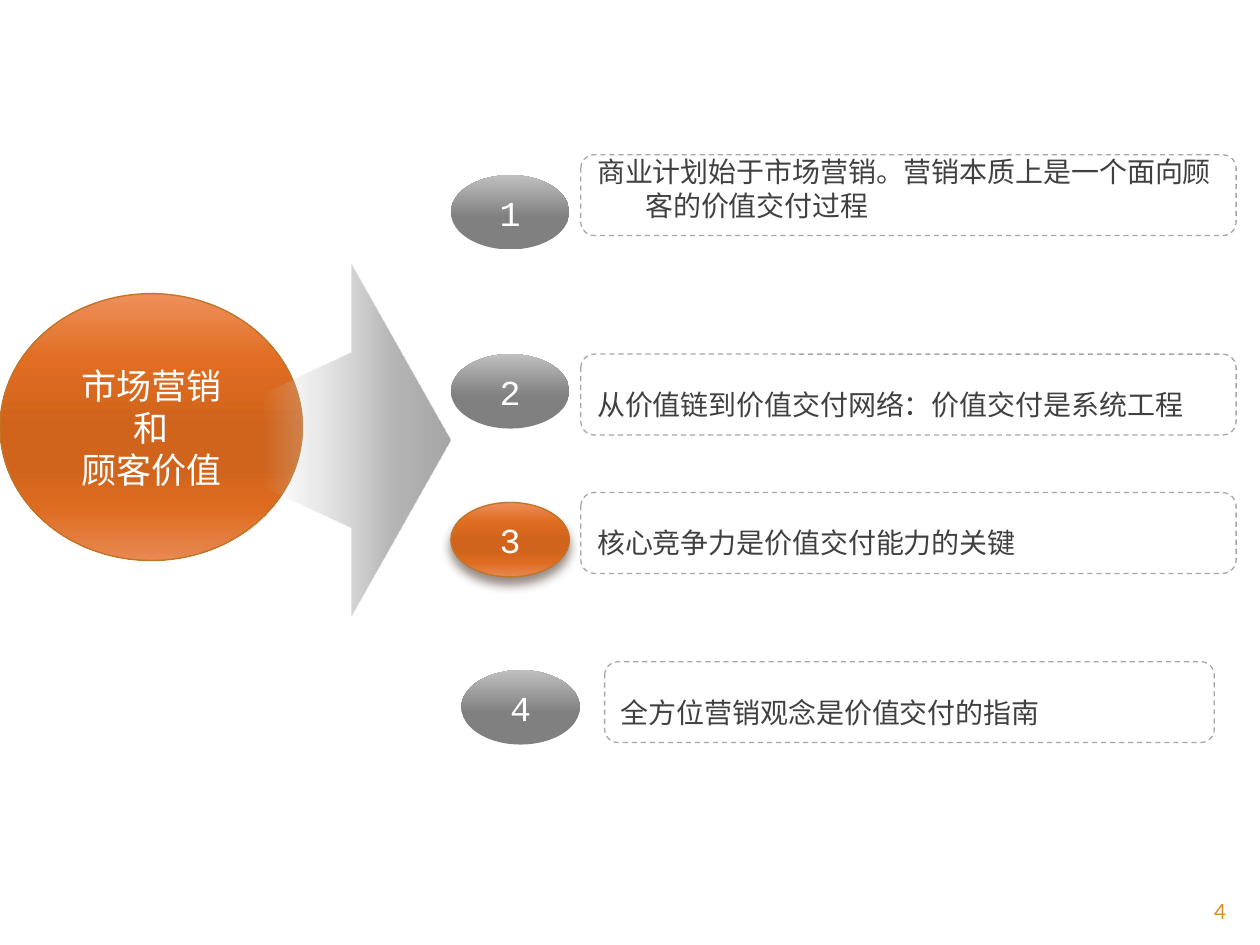
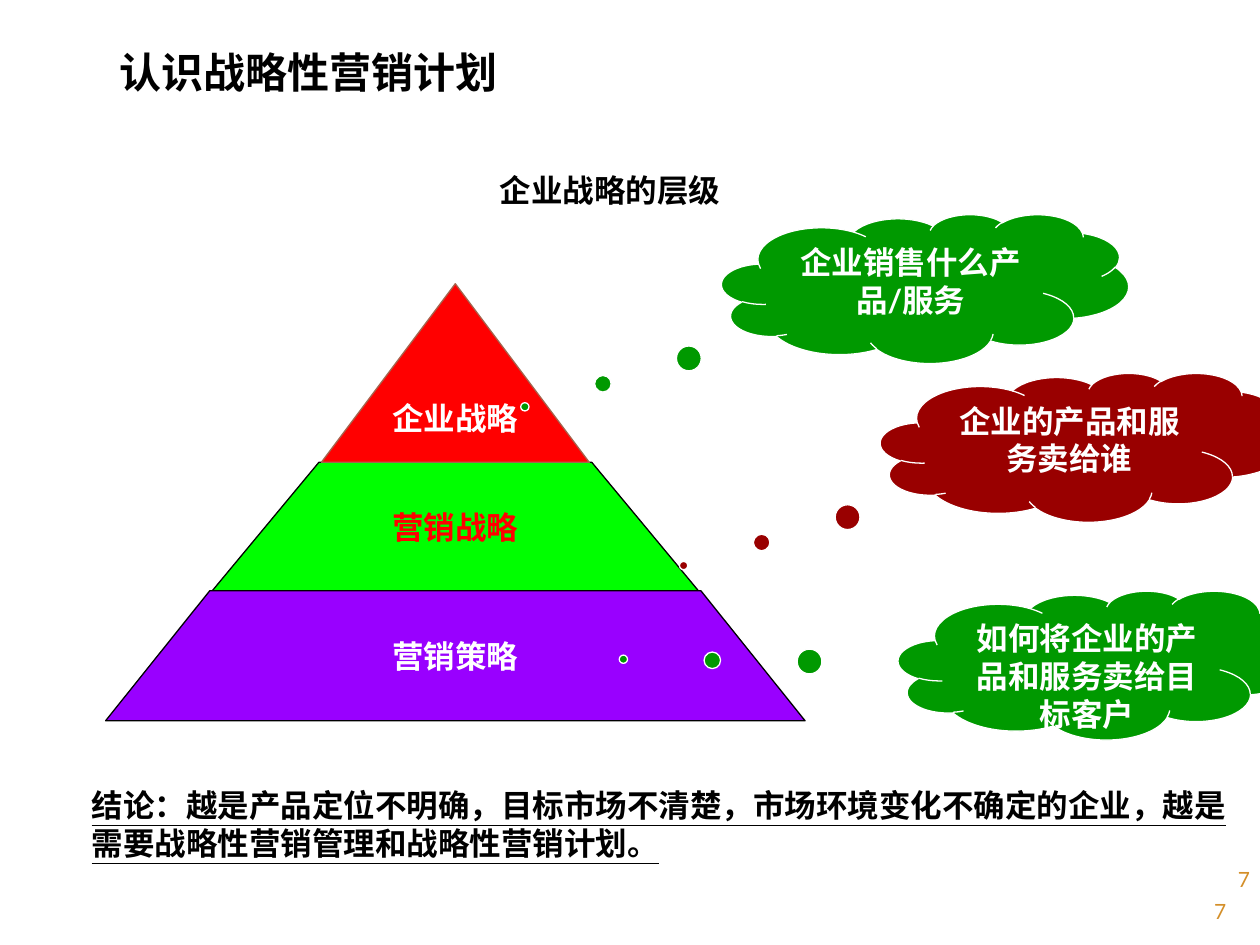
"""Build two slides on marketing, customer value and strategic marketing plans."""
import lxml.etree
import pptx
import pptx.dml.color
import pptx.enum.dml
import pptx.enum.shapes
import pptx.enum.text
import pptx.oxml.ns
import pptx.util

Cm = pptx.util.Cm
Pt = pptx.util.Pt
RGBColor = pptx.dml.color.RGBColor
Shape = pptx.enum.shapes.MSO_SHAPE
Align = pptx.enum.text.PP_ALIGN
Anchor = pptx.enum.text.MSO_ANCHOR
qn = pptx.oxml.ns.qn

WHITE = RGBColor(0xFF, 0xFF, 0xFF)
BLACK = RGBColor(0, 0, 0)
RED = RGBColor(0xFF, 0, 0)
LIME = RGBColor(0, 0xFF, 0)
PURPLE = RGBColor(0x99, 0, 0xFF)
GREEN = RGBColor(0, 0x99, 0)
MAROON = RGBColor(0x99, 0, 0)
BROWN = RGBColor(0xA5, 0x64, 0x4E)
GOLD = RGBColor(0xD4, 0x8F, 0x29)
RUST = RGBColor(0xC1, 0x75, 0x29)
SHADE = RGBColor(0x4E, 0x3B, 0x30)
INK = RGBColor(0x40, 0x40, 0x40)
GRAY = RGBColor(0x80, 0x80, 0x80)
SILVER = RGBColor(0xA6, 0xA6, 0xA6)
ASH = RGBColor(0xAE, 0xAE, 0xAE)
MIST = RGBColor(0xBF, 0xBF, 0xBF)
PALE = RGBColor(0xD9, 0xD9, 0xD9)

HAN, HAN_TITLE = "Noto Sans CJK SC", "Noto Sans CJK JP"
LATIN, DIGITS = "Lato", "Courier New"

GRAY_STOPS = [(0, GRAY, 100), (43, GRAY, 100), (100, MIST, 100)]
ORANGE_STOPS = [
    (0, RGBColor(0xEE, 0x8F, 0x5B), 100),
    (25, RGBColor(0xE0, 0x6D, 0x21), 100),
    (50, RGBColor(0xD0, 0x64, 0x1C), 100),
    (65, RGBColor(0xD0, 0x64, 0x1C), 100),
    (80, RGBColor(0xDE, 0x6C, 0x20), 100),
    (100, RGBColor(0xE8, 0x88, 0x52), 100),
]
ARROW_STOPS = [(0, SILVER, 100), (33, ASH, 88), (100, PALE, 0)]

THEME = ["市场营销", "和", "顾客价值"]
ARROW_AXIS, ARROW_TIP = 8.87, 9.09
ARROW_PROFILE = [(5.31, 0.94), (7.09, 1.77), (7.09, 3.54)]
POINTS = [
    {"text": "商业计划始于市场营销。营销本质上是一个面向顾客的价值交付过程",
     "badge": (9.09, 3.53), "box": (11.71, 3.12, 13.21)},
    {"text": "从价值链到价值交付网络：价值交付是系统工程",
     "badge": (9.09, 7.14), "box": (11.71, 7.14, 13.21)},
    {"text": "核心竞争力是价值交付能力的关键",
     "badge": (9.09, 10.13), "box": (11.71, 9.93, 13.21)},
    {"text": "全方位营销观念是价值交付的指南",
     "badge": (9.3, 13.51), "box": (12.19, 13.34, 12.29)},
]
CURRENT_POINT = 3

PLAN_TITLE = "认识战略性营销计划"
PYRAMID_TITLE = "企业战略的层级"
PYRAMID_AXIS = 9.18
PYRAMID_PEAK = ("企业战略", 5.72, 9.32, 2.7)
PYRAMID_LAYERS = [
    ("营销战略", 9.32, 11.91, 2.75, 4.9, LIME, RED),
    ("营销策略", 11.91, 14.53, 4.95, 7.05, PURPLE, WHITE),
]
CLOUDS = [
    ("企业销售什么产品/服务", 14.55, 4.32, GREEN, (-0.984, 0.794)),
    ("企业的产品和服务卖给谁", 17.75, 7.52, MAROON, (-0.984, 0.794)),
    ("如何将企业的产品和服务卖给目标客户", 18.11, 11.91, GREEN, (-1.176, -0.04)),
]
CONCLUSION = ("结论：越是产品定位不明确，目标市场不清楚，市场环境变化不确定的企业，"
              "越是需要战略性营销管理和战略性营销计划。")


def write(shape, lines, size, font, color, align=Align.LEFT, anchor=Anchor.TOP,
          bold=False, underline=False, wrap=True, hanging=0):
    """Fill a shape with one formatted paragraph per line."""
    frame = shape.text_frame
    frame.auto_size = pptx.enum.text.MSO_AUTO_SIZE.NONE
    frame.word_wrap = wrap
    frame.vertical_anchor = anchor
    for index, line in enumerate(lines):
        para = frame.add_paragraph() if index else frame.paragraphs[0]
        para.alignment = align
        para.line_spacing = Pt(size * 1.2)
        if hanging:
            properties = para._p.get_or_add_pPr()
            properties.set("marL", str(Cm(hanging)))
            properties.set("indent", str(-Cm(hanging)))
        span = para.add_run()
        span.text = line
        span.font.size = Pt(size)
        span.font.name = font
        span.font.bold = bold
        span.font.underline = underline
        span.font.color.rgb = color
        east_asian = lxml.etree.Element(qn("a:ea"), typeface=font)
        span.font._element.find(qn("a:latin")).addnext(east_asian)


def add_color(parent, color, opacity):
    """Append a colour with its opacity in percent."""
    node = lxml.etree.SubElement(parent, qn("a:srgbClr"), val=str(color))
    if opacity < 100:
        lxml.etree.SubElement(node, qn("a:alpha"), val=str(opacity * 1000))


def paint(shape, fill=None, line=None, width=0.75):
    """Set a plain fill and outline and drop the theme shadow."""
    shape.shadow.inherit = False
    if fill is None:
        shape.fill.background()
    else:
        shape.fill.solid()
        shape.fill.fore_color.rgb = fill
    if line is None:
        shape.line.fill.background()
    else:
        shape.line.color.rgb = line
        shape.line.width = Pt(width)


def paint_gradient(shape, stops, angle):
    """Replace the fill by a linear gradient; the angle runs counter-clockwise."""
    shape.fill.gradient()
    shape.fill.gradient_angle = angle
    stop_list = shape._element.spPr.find(qn("a:gradFill")).find(qn("a:gsLst"))
    for stop in list(stop_list):
        stop_list.remove(stop)
    for position, color, opacity in stops:
        stop = lxml.etree.SubElement(stop_list, qn("a:gs"), pos=str(position * 1000))
        add_color(stop, color, opacity)


def add_shape(page, kind, left, top, width, height):
    """Add a preset shape measured in centimetres."""
    return page.shapes.add_shape(kind, Cm(left), Cm(top), Cm(width), Cm(height))


def add_outline(page, corners):
    """Add a closed polygon through corners in centimetres."""
    points = [(Cm(x), Cm(y)) for x, y in corners]
    builder = page.shapes.build_freeform(*points[0])
    builder.add_line_segments(points[1:], close=True)
    return builder.convert_to_shape()


def add_label(page, text, left, top, width, height, **style):
    """Add a text box in the Latin face."""
    box = page.shapes.add_textbox(Cm(left), Cm(top), Cm(width), Cm(height))
    write(box, [text], font=LATIN, **style)


def add_page_number(page, number, left=22.86, top=17.98, width=2.11, height=0.69):
    """Add a right-aligned page number."""
    add_label(page, number, left, top, width, height,
              size=12, color=GOLD, align=Align.RIGHT)


def add_oval(page, lines, left, top, width, height, font, highlighted):
    """Add a gradient ellipse with centred white text."""
    oval = add_shape(page, Shape.OVAL, left, top, width, height)
    paint(oval, line=RUST if highlighted else None, width=0.79)
    if highlighted:
        paint_gradient(oval, ORANGE_STOPS, 270)
    else:
        paint_gradient(oval, GRAY_STOPS, 90)
    write(oval, lines, 20, font, WHITE, Align.CENTER, Anchor.MIDDLE)
    return oval


def add_drop_shadow(shape):
    """Cast a soft shadow straight down."""
    effects = shape._element.spPr.find(qn("a:effectLst"))
    shadow = lxml.etree.SubElement(
        effects, qn("a:outerShdw"), blurRad=str(Pt(6)), dist=str(Pt(4)),
        dir="5400000", rotWithShape="0")
    add_color(shadow, SHADE, 60)


def add_point_box(page, text, left, top, width):
    """Add a dashed rounded box for one point."""
    box = add_shape(page, Shape.ROUNDED_RECTANGLE, left, top, width, 1.63)
    paint(box, line=SILVER)
    box.line.dash_style = pptx.enum.dml.MSO_LINE.DASH
    box.text_frame.margin_top = Cm(0.41)
    box.text_frame.margin_bottom = Cm(0.2)
    write(box, [text], 16, HAN, INK, anchor=Anchor.BOTTOM, hanging=0.97)


def build_value_page(deck):
    """Lead from the theme circle through an arrow to four points."""
    page = deck.slides.add_slide(deck.slide_layouts[6])
    add_oval(page, THEME, 0, 5.92, 6.1, 5.38, HAN, True)
    upper = [(x, ARROW_AXIS - half) for x, half in ARROW_PROFILE]
    lower = [(x, ARROW_AXIS + half) for x, half in reversed(ARROW_PROFILE)]
    arrow = add_outline(page, upper + [(ARROW_TIP, ARROW_AXIS)] + lower)
    paint(arrow)
    paint_gradient(arrow, ARROW_STOPS, 180)
    for number, point in enumerate(POINTS, 1):
        add_point_box(page, point["text"], *point["box"])
        current = number == CURRENT_POINT
        badge = add_oval(page, [str(number)], *point["badge"], 2.39, 1.5, DIGITS, current)
        if current:
            add_drop_shadow(badge)
    add_page_number(page, "4")


def build_plan_page(deck):
    """Show the strategy pyramid, its questions and the conclusion."""
    page = deck.slides.add_slide(deck.slide_layouts[5])
    title = page.shapes.title
    title.left, title.top, title.width, title.height = Cm(2.16), Cm(0.8), Cm(14.63), Cm(1.09)
    write(title, [PLAN_TITLE], 24, HAN_TITLE, BLACK, bold=True)
    add_page_number(page, "7")
    add_page_number(page, "7", 19.71, 17.35, 5.74, 1.27)

    label_style = dict(align=Align.CENTER, anchor=Anchor.MIDDLE, bold=True, wrap=False)
    for label, top, bottom, top_half, bottom_half, fill, color in PYRAMID_LAYERS:
        layer = add_outline(page, [
            (PYRAMID_AXIS - bottom_half, bottom), (PYRAMID_AXIS - top_half, top),
            (PYRAMID_AXIS + top_half, top), (PYRAMID_AXIS + bottom_half, bottom)])
        paint(layer, fill, BLACK)
        write(layer, [label], 18, LATIN, color, **label_style)
    label, top, bottom, half = PYRAMID_PEAK
    peak = add_shape(page, Shape.ISOSCELES_TRIANGLE,
                     PYRAMID_AXIS - half, top, 2 * half, bottom - top)
    paint(peak, RED, BROWN)
    write(peak, [label], 18, LATIN, WHITE, **label_style)

    add_label(page, PYRAMID_TITLE, 7.75, 3.33, 9.09, 1.02,
              size=18, color=BLACK, align=Align.CENTER, bold=True)
    for question, left, top, fill, tail in CLOUDS:
        cloud = add_shape(page, Shape.CLOUD_CALLOUT, left, top, 8.2, 3)
        cloud.adjustments[0], cloud.adjustments[1] = tail
        paint(cloud, fill, WHITE)
        write(cloud, [question], 18, LATIN, WHITE, Align.CENTER, bold=True)
    add_label(page, CONCLUSION, 1.6, 15.72, 23.8, 1.78,
              size=18, color=BLACK, bold=True, underline=True)


def main():
    """Create and save the deck."""
    deck = pptx.Presentation()
    deck.slide_width, deck.slide_height = Cm(25.4), Cm(19.05)
    build_value_page(deck)
    build_plan_page(deck)
    deck.save("out.pptx")


if __name__ == "__main__":
    main()
